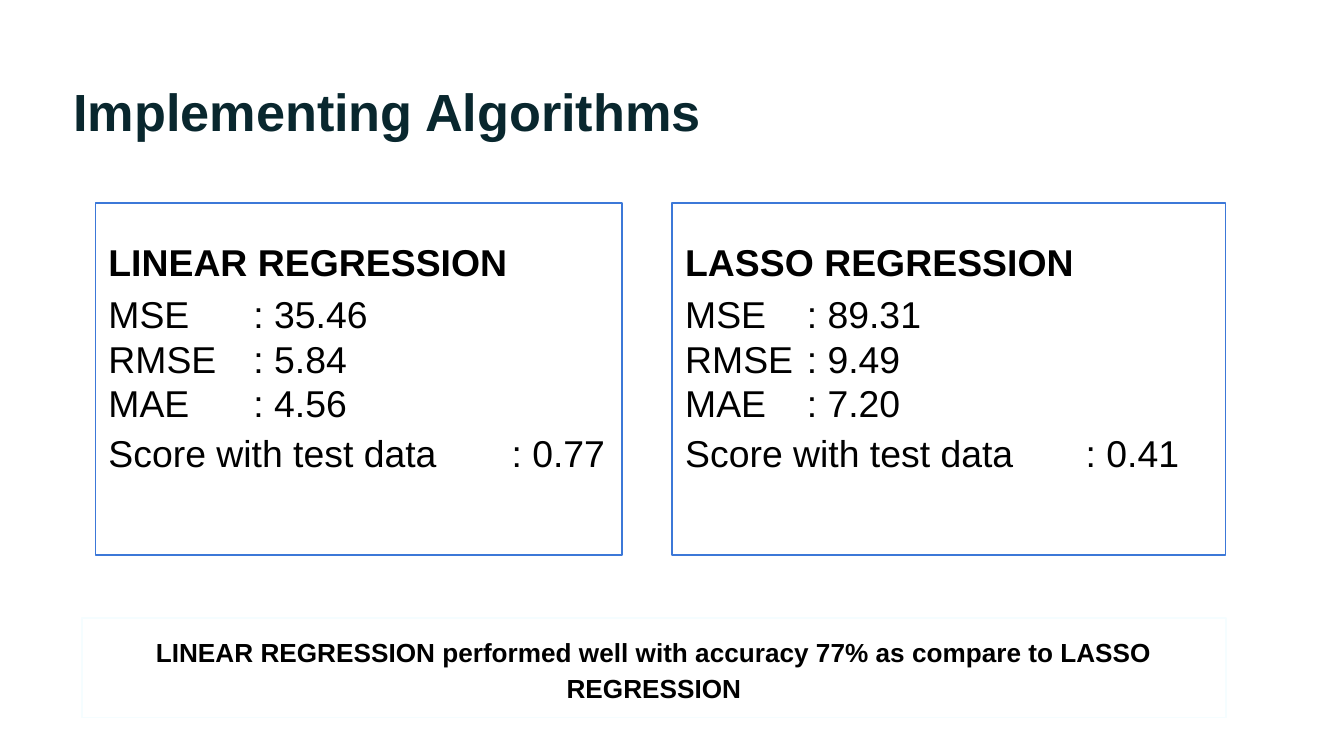
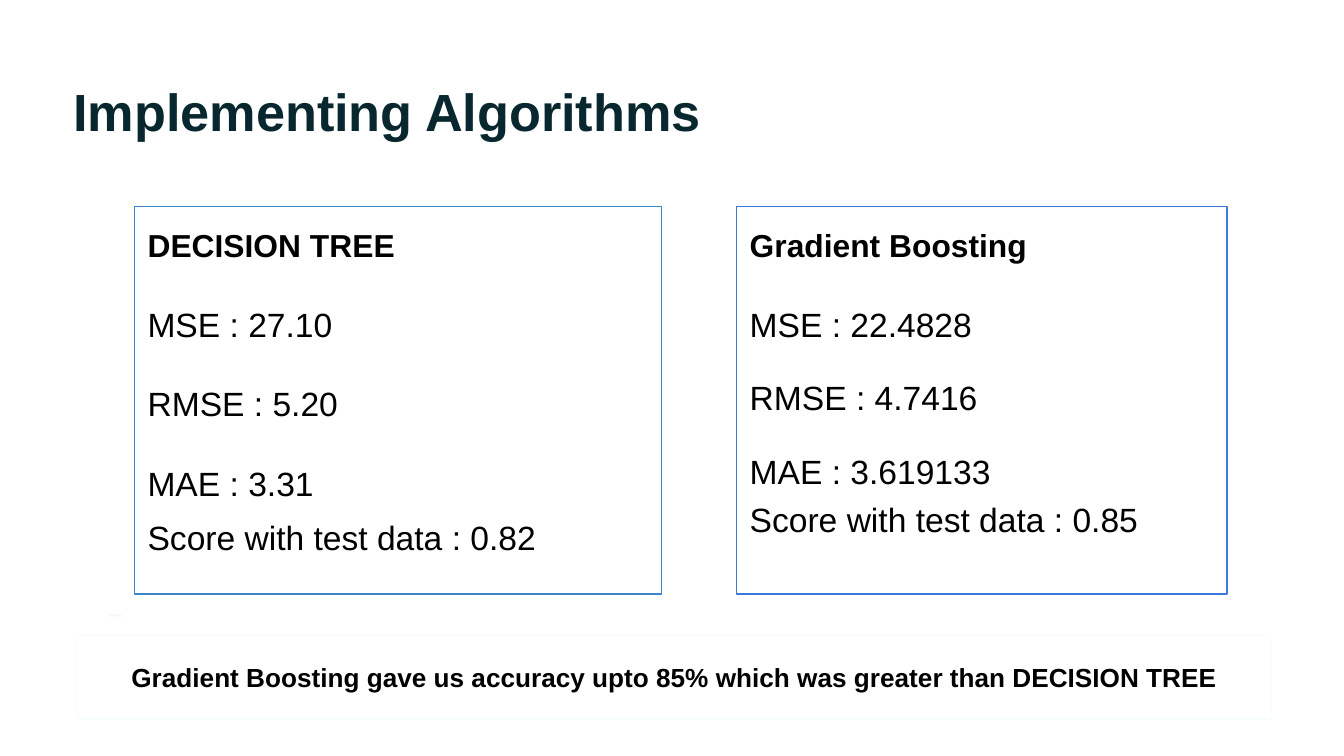
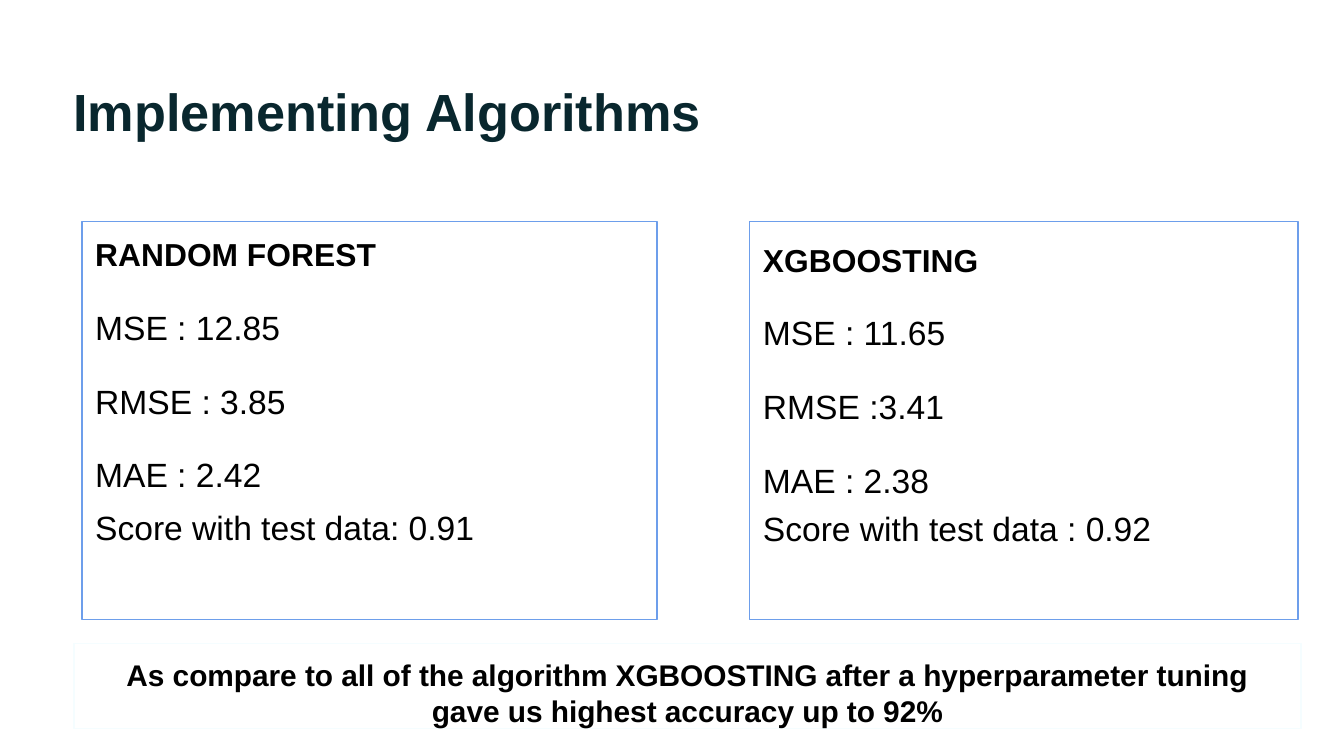
from pptx import Presentation
from pptx.dml.color import RGBColor
from pptx.enum.shapes import MSO_SHAPE as SHAPE
from pptx.enum.text import MSO_ANCHOR as ANCHOR, PP_ALIGN as ALIGN
from pptx.oxml.ns import qn
from pptx.util import Cm, Pt
from lxml.etree import SubElement


def rgb(value):
    return RGBColor.from_string(value)


def apply(target, values):
    for name, value in values.items():
        setattr(target, name, value)


class Deck:
    FONT = "Arial"
    INK, TITLE, WHITE, PALE = "000000", "09272E", "FFFFFF", "F5FDFF"
    INSET = Cm(0.25)
    FRAME = dict(word_wrap=True, margin_left=INSET, margin_top=INSET,
                 margin_right=INSET, margin_bottom=INSET)

    def __init__(self):
        self.prs = Presentation()
        apply(self.prs, dict(slide_width=Cm(25.4), slide_height=Cm(14.29)))
        self.s = None

    def slide(self, title):
        self.s = self.prs.slides.add_slide(self.prs.slide_layouts[6])
        box = self.s.shapes.add_textbox(Cm(0.86), Cm(1.24), Cm(23.67), Cm(1.6))
        apply(box.text_frame, {**self.FRAME, "margin_left": Cm(0.53)})
        self.line(box.text_frame.paragraphs[0], title, 28, True, self.TITLE)

    def line(self, p, text, size, bold=False, color=INK, **layout):
        p.text = text
        apply(p, layout)
        for r in p.runs:
            apply(r.font, dict(name=self.FONT, size=Pt(size), bold=bold))
            r.font.color.rgb = rgb(color)

    def tabs(self, p, stops):
        tab_list = SubElement(p._p.get_or_add_pPr(), qn("a:tabLst"))
        for stop in stops:
            SubElement(tab_list, qn("a:tab"), pos=str(Cm(stop)), algn="l")

    def rect(self, at, outline=PALE, fill=WHITE, anchor=ANCHOR.TOP):
        sp = self.s.shapes.add_shape(SHAPE.RECTANGLE, *map(Cm, at))
        sp.shadow.inherit = False
        sp.fill.solid()
        sp.fill.fore_color.rgb = rgb(fill)
        sp.line.color.rgb = rgb(outline)
        sp.line.width = Pt(0.75)
        apply(sp.text_frame, {**self.FRAME, "vertical_anchor": anchor})
        return sp.text_frame

    def card(self, at, outline, lines, spacing, before=(18, 18, 18, 18, 4),
             sizes=(17, 18), align=ALIGN.LEFT, stops=()):
        tf = self.rect(at, outline)
        for i, (text, ls, sb) in enumerate(zip(lines, spacing, before)):
            p = tf.add_paragraph() if i else tf.paragraphs[0]
            self.line(p, text, sizes[min(i, 1)], i == 0,
                      alignment=align if i else ALIGN.LEFT,
                      line_spacing=ls, space_before=Pt(sb))
            if stops and i:
                self.tabs(p, stops)

    def note(self, at, text, size=14, spacing=1.0, anchor=ANCHOR.MIDDLE):
        tf = self.rect(at, anchor=anchor)
        self.line(tf.paragraphs[0], text, size, True,
                  alignment=ALIGN.CENTER, line_spacing=spacing)


def main():
    deck = Deck()
    title = "Implementing Algorithms"

    deck.slide(title)
    aligned = dict(spacing=(1.5, 1.0, 1.0, 1.0, 1.11), before=(18, 4, 0, 0, 0),
                   sizes=(20, 20), align=ALIGN.JUSTIFY)
    deck.card((1.8, 3.84, 9.96, 6.65), "3C78D8",
              ("LINEAR REGRESSION", "MSE\t: 35.46", "RMSE\t: 5.84",
               "MAE\t: 4.56", "Score with test data\t: 0.77"),
              stops=(2.74, 7.62), **aligned)
    deck.card((12.7, 3.84, 10.46, 6.65), "3C78D8",
              ("LASSO REGRESSION", "MSE\t: 89.31", "RMSE\t: 9.49",
               "MAE\t: 7.20", "Score with test data\t: 0.41"),
              stops=(2.3, 7.57), **aligned)
    deck.note((1.55, 11.68, 21.62, 1.88),
              "LINEAR REGRESSION performed well with accuracy 77% "
              "as compare to LASSO REGRESSION", spacing=1.15)

    deck.slide(title)
    deck.card((2.54, 3.91, 9.96, 7.32), "3D85C6",
              ("DECISION TREE", "MSE : 27.10", "RMSE : 5.20", "MAE : 3.31",
               "Score with test data : 0.82"),
              (1.15,) * 5, align=ALIGN.JUSTIFY)
    deck.card((13.92, 3.91, 9.27, 7.32), "3C78D8",
              ("Gradient Boosting", "MSE : 22.4828", "RMSE : 4.7416",
               "MAE : 3.619133", "Score with test data : 0.85"),
              (1.15, 1.15, 1.0, 1.0, 1.0))
    deck.rect((2.06, 11.61, 0.23, 0.05), fill="FFF1F1")
    deck.note((1.47, 11.99, 22.56, 1.6),
              "Gradient Boosting gave us accuracy upto 85% "
              "which was greater than DECISION TREE")

    deck.slide(title)
    deck.card((1.55, 4.19, 10.87, 7.52), "6D9EEB",
              ("RANDOM FOREST", "MSE : 12.85", "RMSE : 3.85", "MAE : 2.42",
               "Score with test data: 0.91"),
              (1.0, 1.0, 1.0, 1.0, 1.11))
    deck.card((14.17, 4.19, 10.36, 7.52), "6D9EEB",
              ("XGBOOSTING", "MSE : 11.65", "RMSE :3.41", "MAE : 2.38",
               "Score with test data : 0.92"),
              (1.15, 1.0, 1.0, 1.0, 1.0))
    deck.note((1.4, 12.17, 23.19, 1.6),
              "As compare to all of the algorithm XGBOOSTING after a "
              "hyperparameter tuning\vgave us highest accuracy up to 92%",
              size=16, anchor=ANCHOR.TOP)

    deck.prs.save("out.pptx")


if __name__ == "__main__":
    main()
